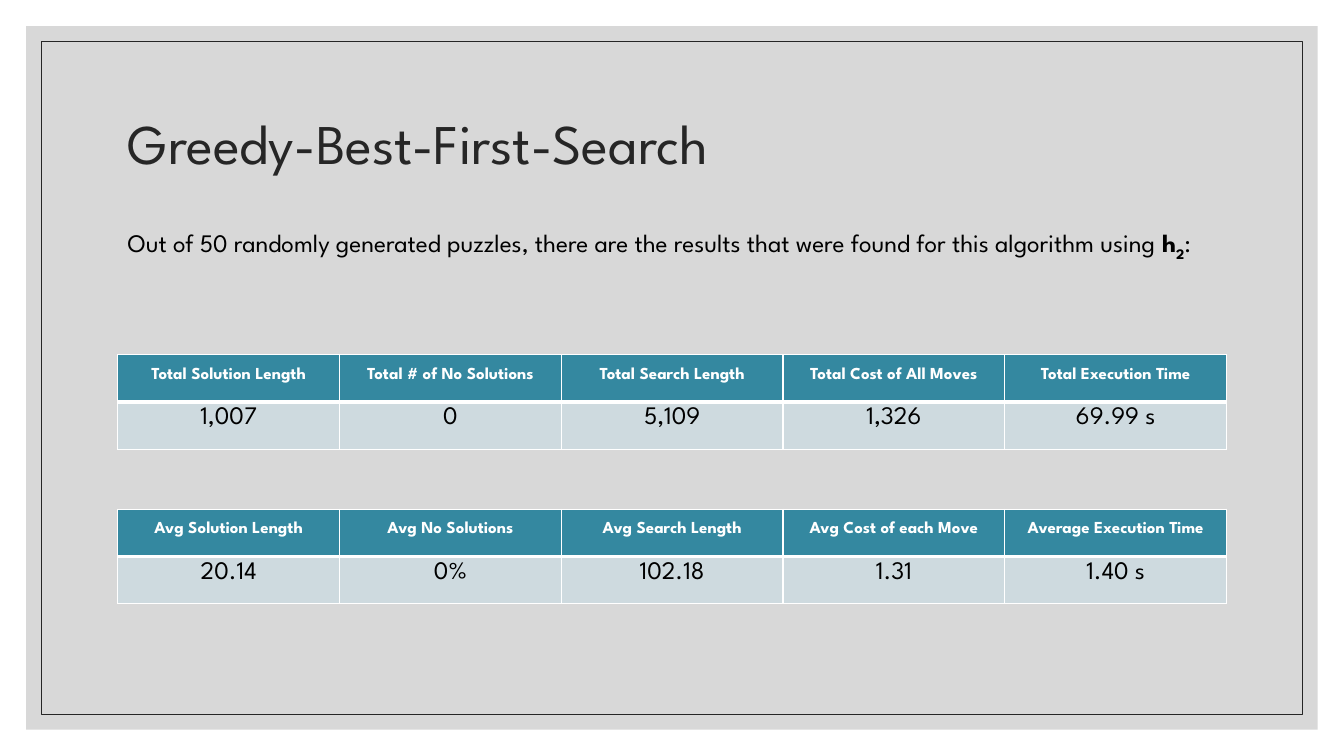
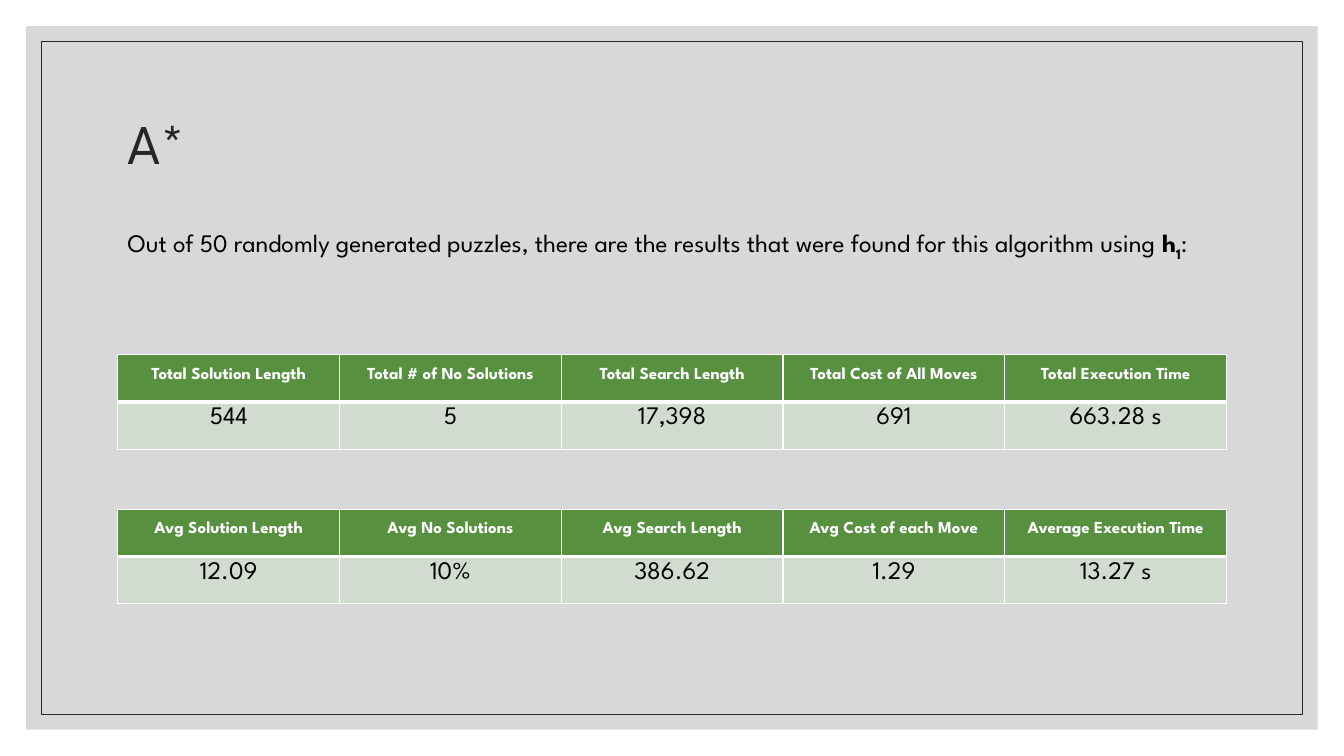
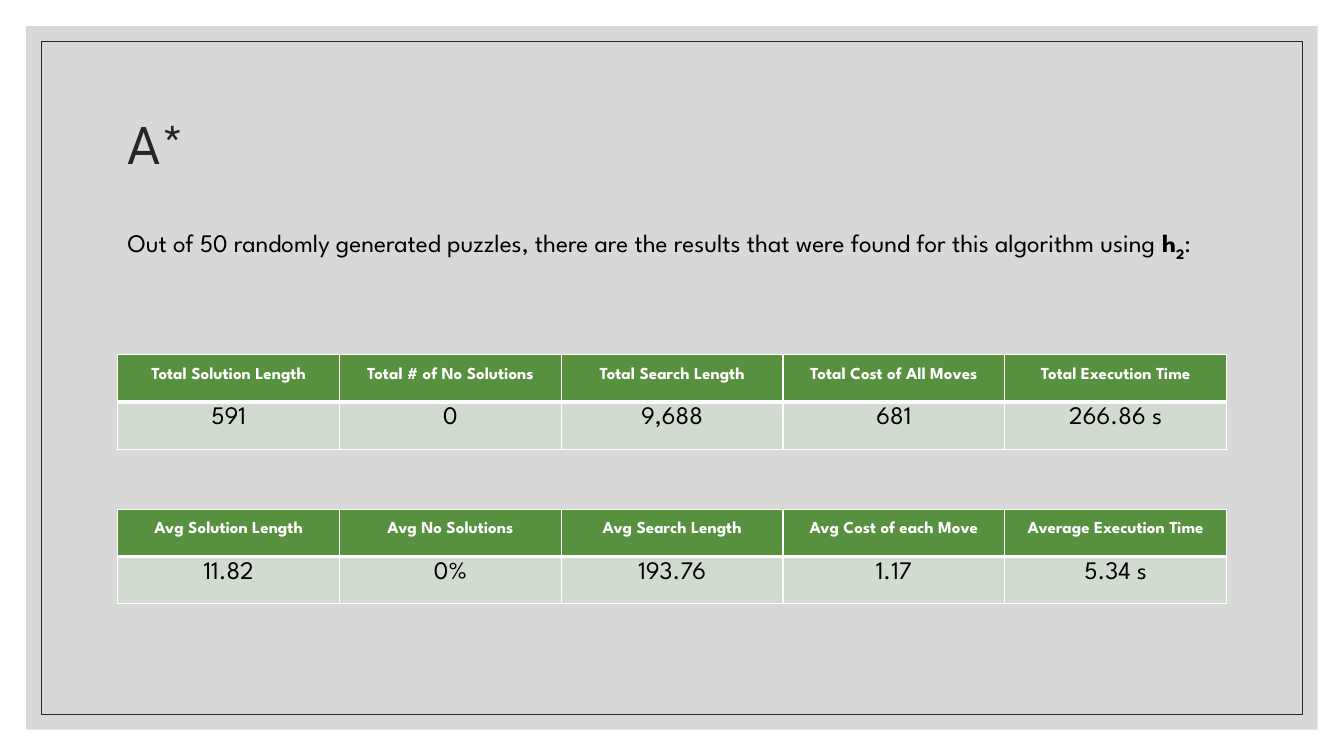
from dataclasses import dataclass
from typing import Any, NamedTuple

from lxml.etree import SubElement
from pptx import Presentation
from pptx.dml.color import RGBColor as Rgb
from pptx.enum.shapes import MSO_SHAPE as Preset
from pptx.enum.text import MSO_ANCHOR as Anchor, MSO_AUTO_SIZE as AutoSize, PP_ALIGN as Align
from pptx.oxml.ns import qn
from pptx.util import Cm, Pt


class Accent(NamedTuple):
    header: str
    value: str


@dataclass(frozen=True)
class Theme:
    font: str = "League Spartan"
    ink: str = "262626"
    body: str = "000000"
    white: str = "FFFFFF"
    panel: str = "BFBFBF"
    teal: Accent = Accent("3488A0", "CEDADF")
    green: Accent = Accent("57903F", "D1DBCF")
    title_size: int = 40
    body_size: int = 18
    header_size: int = 12
    thin: int = 1
    thick: int = 3


@dataclass(frozen=True)
class Result:
    algorithm: str
    heuristic: str
    accent: Accent
    totals: tuple[str, ...]
    averages: tuple[str, ...]


THEME = Theme()

# Page geometry
PAGE_W, PAGE_H = Cm(33.87), Cm(19.05)
LEFT, CONTENT_W = Cm(2.97), Cm(27.94)
TITLE_TOP, TITLE_H = Cm(1.78), Cm(3.81)
INTRO_TOP, INTRO_H = Cm(5.61), Cm(1.8)
TOTALS_TOP, AVERAGES_TOP, ROW_H = Cm(8.94), Cm(12.83), Cm(1.19)
PANEL_INSET, OUTLINE_INSET = Cm(0.66), Cm(1.04)

# Content
INTRO = ("Out of 50 randomly generated puzzles, there are the results "
         "that were found for this algorithm using ")
TOTAL_LABELS = ("Total Solution Length", "Total # of No Solutions", "Total Search Length",
                "Total Cost of All Moves", "Total Execution Time")
AVERAGE_LABELS = ("Avg Solution Length", "Avg No Solutions", "Avg Search Length",
                  "Avg Cost of each Move", "Average Execution Time")
RESULTS = (
    Result("Greedy-Best-First-Search", "2", THEME.teal,
           ("1,007", "0", "5,109", "1,326", "69.99 s"),
           ("20.14", "0%", "102.18", "1.31", "1.40 s")),
    Result("A*", "1", THEME.green,
           ("544", "5", "17,398", "691", "663.28 s"),
           ("12.09", "10%", "386.62", "1.29", "13.27 s")),
    Result("A*", "2", THEME.green,
           ("591", "0", "9,688", "681", "266.86 s"),
           ("11.82", "0%", "193.76", "1.17", "5.34 s")),
)


def apply(target: Any, values: dict[str, Any]) -> None:
    for attribute, value in values.items():
        setattr(target, attribute, value)


def add_run(paragraph: Any, text: str, size: int, color: str, bold: bool = False) -> Any:
    run = paragraph.add_run()
    run.text = text
    apply(run.font, {"name": THEME.font, "size": Pt(size), "bold": bold})
    run.font.color.rgb = Rgb.from_string(color)
    return run


# Shared frame, kept on the layout
def add_frame(layout: Any, slide: Any) -> None:
    panel, outline = (
        slide.shapes.add_shape(Preset.RECTANGLE, inset, inset,
                               PAGE_W - 2 * inset, PAGE_H - 2 * inset)
        for inset in (PANEL_INSET, OUTLINE_INSET))
    panel.fill.solid()
    panel.fill.fore_color.rgb = Rgb.from_string(THEME.panel)
    panel.line.fill.background()
    tint = panel.element.spPr.find(qn("a:solidFill"))[0]
    SubElement(tint, qn("a:alpha"), val="60000")
    outline.fill.background()
    outline.line.color.rgb = Rgb.from_string(THEME.ink)
    outline.line.width = Pt(0.5)
    for order, shape in enumerate((panel, outline)):
        shape.shadow.inherit = False
        shape.element.nvSpPr.cNvPr.id = 101 + order
        layout.shapes.element.insert(2 + order, shape.element)


def set_title(slide: Any, text: str) -> None:
    title = slide.shapes.title
    apply(title, {"left": LEFT, "top": TITLE_TOP, "width": CONTENT_W, "height": TITLE_H})
    apply(title.text_frame, {"vertical_anchor": Anchor.MIDDLE, "word_wrap": True,
                             "auto_size": AutoSize.NONE})
    paragraph = title.text_frame.paragraphs[0]
    apply(paragraph, {"alignment": Align.LEFT, "line_spacing": 0.9})
    add_run(paragraph, text, THEME.title_size, THEME.ink)


def add_intro(slide: Any, heuristic: str) -> None:
    intro = slide.shapes.add_textbox(LEFT, INTRO_TOP, CONTENT_W, INTRO_H)
    apply(intro.text_frame, {"word_wrap": True, "auto_size": AutoSize.SHAPE_TO_FIT_TEXT})
    paragraph = intro.text_frame.paragraphs[0]
    size, color = THEME.body_size, THEME.body
    add_run(paragraph, INTRO, size, color)
    add_run(paragraph, "h", size, color, bold=True)
    subscript = add_run(paragraph, heuristic, size, color, bold=True)
    subscript._r.get_or_add_rPr().set("baseline", "-25000")
    add_run(paragraph, ":", size, color)


# Result tables
def set_borders(cell: Any, top: int, bottom: int) -> None:
    properties = cell._tc.get_or_add_tcPr()
    widths = {"lnL": THEME.thin, "lnR": THEME.thin, "lnT": top, "lnB": bottom}
    for side, width in widths.items():
        border = SubElement(properties, qn(f"a:{side}"), w=str(Pt(width)))
        fill = SubElement(border, qn("a:solidFill"))
        SubElement(fill, qn("a:srgbClr"), val=THEME.white)


def fill_cell(cell: Any, text: str, fill: str, is_header: bool) -> None:
    if is_header:
        set_borders(cell, THEME.thin, THEME.thick)
        size, color, spacing = THEME.header_size, THEME.white, 1.5
    else:
        set_borders(cell, THEME.thick, THEME.thin)
        size, color, spacing = THEME.body_size, THEME.body, 1.0
    cell.fill.solid()
    cell.fill.fore_color.rgb = Rgb.from_string(fill)
    paragraph = cell.text_frame.paragraphs[0]
    apply(paragraph, {"alignment": Align.CENTER, "line_spacing": spacing})
    add_run(paragraph, text, size, color, bold=is_header)


def add_results(slide: Any, top: int, labels: tuple[str, ...],
                values: tuple[str, ...], accent: Accent) -> None:
    table = slide.shapes.add_table(2, len(labels), LEFT, top, CONTENT_W, 2 * ROW_H).table
    table.horz_banding = False
    for row, (texts, fill) in enumerate(zip((labels, values), accent)):
        for column, text in enumerate(texts):
            fill_cell(table.cell(row, column), text, fill, is_header=row == 0)


def main() -> None:
    deck = Presentation()
    apply(deck, {"slide_width": PAGE_W, "slide_height": PAGE_H})
    layout = deck.slide_layouts.get_by_name("Title Only")
    for number, result in enumerate(RESULTS):
        slide = deck.slides.add_slide(layout)
        if number == 0:
            add_frame(layout, slide)
        set_title(slide, result.algorithm)
        add_results(slide, TOTALS_TOP, TOTAL_LABELS, result.totals, result.accent)
        add_results(slide, AVERAGES_TOP, AVERAGE_LABELS, result.averages, result.accent)
        add_intro(slide, result.heuristic)
    deck.save("out.pptx")


if __name__ == "__main__":
    main()
